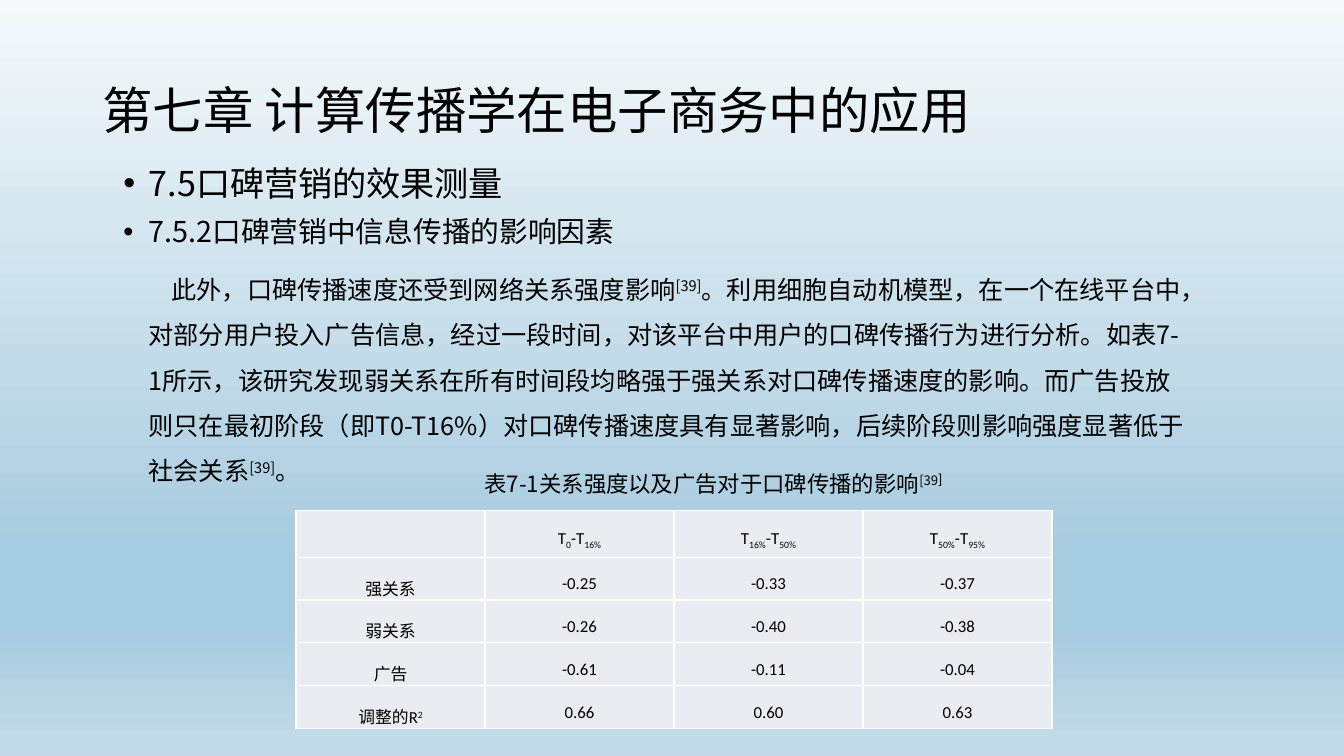
from lxml import etree
from pptx import Presentation
from pptx import util as u
from pptx.dml.color import RGBColor
from pptx.enum import text
from pptx.oxml.ns import qn

PX = 9525
HAN, LATIN = "Noto Sans CJK SC", "Calibri"
COLORS = {"ink": "000000", "cell": "E9EDF2", "border": "FFFFFF",
          "mist": "F5F9FB", "sky": "A7CBDF", "haze": "C4DCEA"}
SUPER, SUB = 30000, -25000
LEFT, CENTER = text.PP_ALIGN.LEFT, text.PP_ALIGN.CENTER
BOTTOM = text.MSO_ANCHOR.BOTTOM

EXPLANATION = [
    ("此外，口碑传播速度还受到网络关系强度影响", 0), ("[39]", SUPER),
    ("。利用细胞自动机模型，在一个在线平台中，对部分用户投入广告信息，经过一段时间，"
     "对该平台中用户的口碑传播行为进行分析。如表7-1所示，该研究发现弱关系在所有时间段"
     "均略强于强关系对口碑传播速度的影响。而广告投放则只在最初阶段（即T0-T16%）对口碑"
     "传播速度具有显著影响，后续阶段则影响强度显著低于社会关系", 0),
    ("[39]", SUPER), ("。", 0)]
PERIODS = [("0", "16%"), ("16%", "50%"), ("50%", "95%")]
EFFECTS = [
    ([("强关系", 0)], "-0.25", "-0.33", "-0.37"),
    ([("弱关系", 0)], "-0.26", "-0.40", "-0.38"),
    ([("广告", 0)], "-0.61", "-0.11", "-0.04"),
    ([("调整的R", 0), ("2", SUPER)], "0.66", "0.60", "0.63")]


def px(*lengths):
    return [u.Emu(length * PX) for length in lengths]


def place(holder, *box):
    holder.left, holder.top, holder.width, holder.height = px(*box)


def add_runs(paragraph, runs, size, latin=HAN):
    for wording, baseline in runs:
        run = paragraph.add_run()
        run.text = wording
        run.font.size = u.Pt(size)
        run.font.color.rgb = RGBColor.from_string(COLORS["ink"])
        run.font.name = latin
        props = run._r.get_or_add_rPr()
        etree.SubElement(props, qn("a:ea")).set("typeface", HAN)
        if baseline:
            props.set("baseline", str(baseline))


def set_indent(paragraph, margin, first, bullet=None):
    props = paragraph._p.get_or_add_pPr()
    props.set("marL", str(margin * PX))
    props.set("indent", str(first * PX))
    if bullet:
        etree.SubElement(props, qn("a:buFont")).set("typeface", "Arial")
        etree.SubElement(props, qn("a:buChar")).set("char", bullet)


def add_gradient(slide):
    fill = slide.background.fill
    fill.gradient()
    fill.gradient_angle = 270
    stops = next(slide.element.iter(qn("a:gsLst")))
    for stop in list(stops):
        stops.remove(stop)
    for percent, name in ((0, "mist"), (74, "sky"), (83, "sky"), (100, "haze")):
        stop = etree.SubElement(stops, qn("a:gs"), pos=str(percent * 1000))
        etree.SubElement(stop, qn("a:srgbClr"), val=COLORS[name])


def add_title(slide, wording):
    chapter = slide.shapes.title
    place(chapter, 88, 38, 1104, 139)
    frame = chapter.text_frame
    frame.auto_size = text.MSO_AUTO_SIZE.NONE
    frame.vertical_anchor = text.MSO_ANCHOR.MIDDLE
    heading = frame.paragraphs[0]
    heading.alignment = LEFT
    heading.line_spacing = 0.9
    add_runs(heading, [(wording, 0)], 36)


def add_sections(slide, sections):
    outline = slide.placeholders[1]
    place(outline, 108, 154, 1112, 94)
    frame = outline.text_frame
    frame.auto_size = text.MSO_AUTO_SIZE.NONE
    for index, (wording, size) in enumerate(sections):
        section = frame.add_paragraph() if index else frame.paragraphs[0]
        section.line_spacing = 0.9
        section.space_before = u.Pt(10)
        set_indent(section, 24, -24, "•")
        add_runs(section, [(wording, 0)], size)


def add_text(slide, box, runs, size, alignment, spacing=1.0):
    frame = slide.shapes.add_textbox(*px(*box)).text_frame
    frame.word_wrap = True
    paragraph = frame.paragraphs[0]
    paragraph.alignment = alignment
    paragraph.line_spacing = spacing
    add_runs(paragraph, runs, size)
    return paragraph


def style_cell(cell, runs):
    cell.vertical_anchor = BOTTOM
    cell.margin_top, cell.margin_bottom = px(6, 6)
    props = cell._tc.get_or_add_tcPr()
    for side in ("lnL", "lnR", "lnT", "lnB"):
        line = etree.SubElement(props, qn(f"a:{side}"), w=str(u.Pt(1)))
        solid = etree.SubElement(line, qn("a:solidFill"))
        etree.SubElement(solid, qn("a:srgbClr"), val=COLORS["border"])
    cell.fill.solid()
    cell.fill.fore_color.rgb = RGBColor.from_string(COLORS["cell"])
    paragraph = cell.text_frame.paragraphs[0]
    paragraph.alignment = CENTER
    paragraph.line_spacing = 1.5
    add_runs(paragraph, runs, 12, LATIN)


def add_effects(slide):
    header = [[]] + [[("T", 0), (start, SUB), ("-T", 0), (end, SUB)]
                     for start, end in PERIODS]
    rows = [header] + [[factor] + [[(value, 0)] for value in values]
                       for factor, *values in EFFECTS]
    effects = slide.shapes.add_table(
        len(rows), len(header), *px(282, 486, 720, 185)).table
    effects.first_row = effects.horz_banding = False
    for r, row in enumerate(rows):
        for c, runs in enumerate(row):
            style_cell(effects.cell(r, c), runs)


def main():
    deck = Presentation()
    deck.slide_width, deck.slide_height = px(1280, 720)
    slide = deck.slides.add_slide(deck.slide_layouts[1])
    add_gradient(slide)
    add_title(slide, "第七章 计算传播学在电子商务中的应用")
    add_sections(slide, [("7.5口碑营销的效果测量", 24.4),
                         ("7.5.2口碑营销中信息传播的影响因素", 20.5)])
    explanation = add_text(slide, (132, 242, 1007, 228), EXPLANATION, 18, LEFT, 1.5)
    set_indent(explanation, 0, 22)
    add_effects(slide)
    caption = add_text(slide, (377, 440, 605, 68),
                       [("表7-1关系强度以及广告对于口碑传播的影响", 0), ("[39", SUPER)],
                       16, CENTER)
    add_runs(caption, [("]", SUPER)], 18, LATIN)
    deck.save("out.pptx")


if __name__ == "__main__":
    main()
